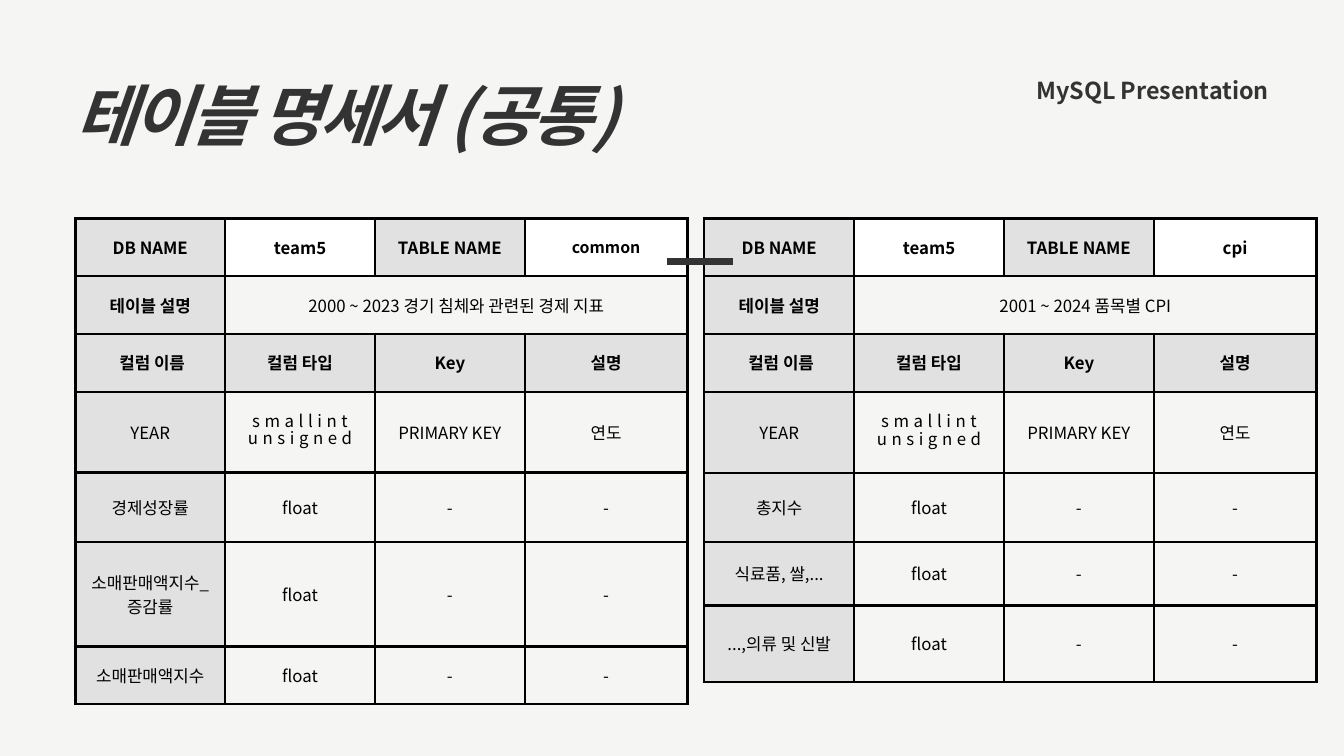
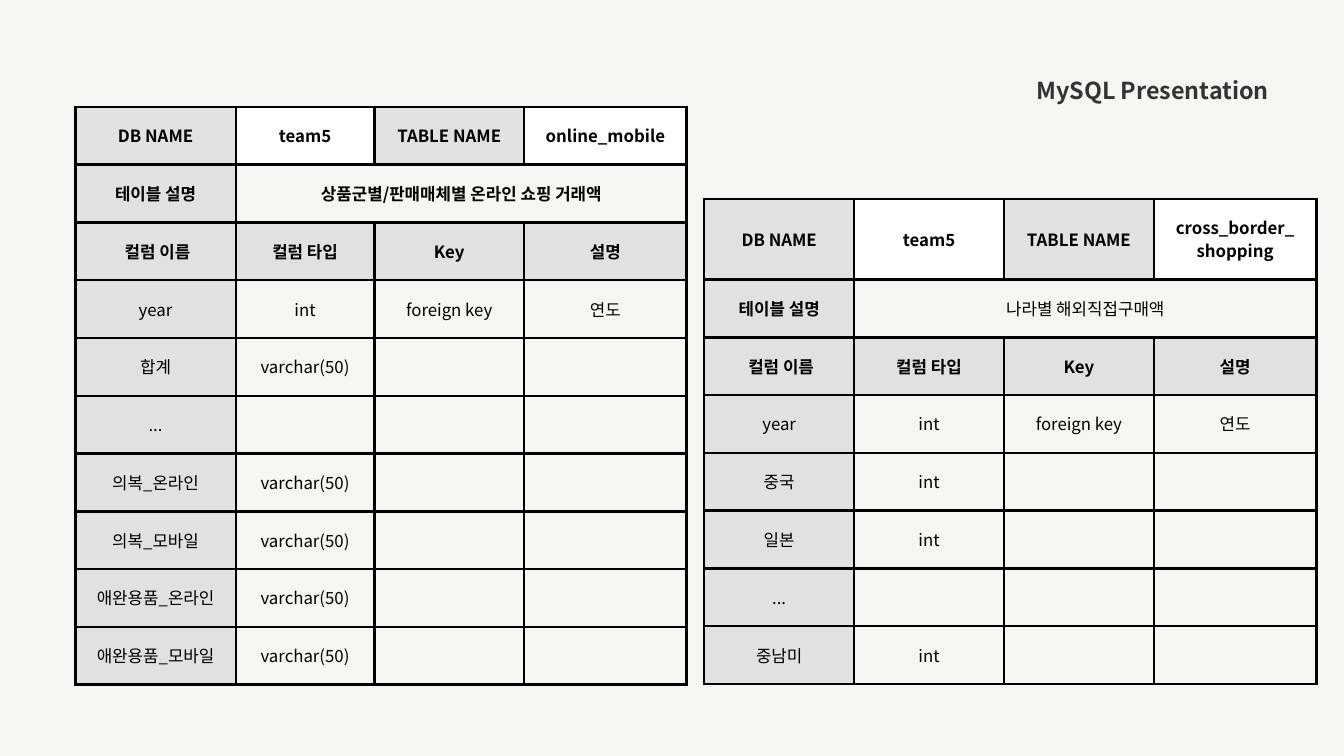
from dataclasses import dataclass

from lxml.etree import SubElement
from pptx import Presentation
from pptx.dml.color import RGBColor
from pptx.enum.shapes import MSO_CONNECTOR
from pptx.enum.text import MSO_ANCHOR, PP_ALIGN
from pptx.oxml import parse_xml
from pptx.oxml.ns import nsdecls, qn
from pptx.slide import Slide
from pptx.table import _Cell as Cell
from pptx.text.text import TextFrame
from pptx.util import Inches, Pt

COLORS = {
    "paper": "F5F5F4",
    "label": "E1E1E1",
    "value": "FFFFFF",
    "border": "000000",
    "cell_text": "000000",
    "ink": "333333",
}
FONT = "Noto Sans CJK KR"
TITLE_ONLY, BLANK = 5, 6
ROW = 0.86
LEFT, RIGHT = 1.12, 10.48
EVEN_COLUMNS = (2.23, 2.23, 2.23, 2.42)
COLUMN_HEADS = (" 컬럼 이름", "컬럼 타입", "Key", "설명")


@dataclass(frozen=True)
class TextStyle:
    size: float
    leading: float
    color: str = "cell_text"
    bold: bool = False
    italic: bool = False
    tracking: float = 0
    align: PP_ALIGN = PP_ALIGN.CENTER


TITLE = TextStyle(71, 85.2, "ink", True, True, -3.5, PP_ALIGN.LEFT)
RUNNING_HEAD = TextStyle(25, 35, "ink", True, align=PP_ALIGN.RIGHT)
BODY = TextStyle(18, 25.2)
STRONG = TextStyle(18, 25.2, bold=True)
STRONG_SMALL = TextStyle(17, 23.8, bold=True)
SPACED = TextStyle(18, 18.7, tracking=4.9)


@dataclass(frozen=True)
class TableSpec:
    left: float
    top: float
    name: str
    description: str
    fields: tuple[tuple[str, ...], ...]
    heights: tuple[float, ...]
    widths: tuple[float, ...] = EVEN_COLUMNS
    name_style: TextStyle = STRONG
    description_style: TextStyle = BODY


YEAR_KEY = ("YEAR", "smallint\nunsigned", "PRIMARY KEY", "연도")
YEAR_REF = ("year", "int", "foreign key", "연도")


def float_field(name: str) -> tuple[str, ...]:
    return name, "float", "-", "-"


def plain_field(name: str, kind: str = "") -> tuple[str, ...]:
    return name, kind, "", ""


COMMON = TableSpec(
    LEFT, 3.25, "common", "2000 ~ 2023 경기 침체와 관련된 경제 지표",
    (YEAR_KEY, *map(float_field, ("경제성장률", "소매판매액지수_\n증감률", "소매판매액지수"))),
    (ROW, ROW, ROW, 1.2, 1.04, 1.55, ROW),
    name_style=STRONG_SMALL,
)
CPI = TableSpec(
    RIGHT, 3.25, "cpi", "2001 ~ 2024 품목별 CPI",
    (YEAR_KEY, *map(float_field, ("총지수", "식료품, 쌀,...", "...,의류 및 신발"))),
    (ROW, ROW, ROW, 1.21, 1.03, 0.94, 1.14),
)
ONLINE_MOBILE = TableSpec(
    LEFT, 1.59, "online_mobile", "상품군별/판매매체별 온라인 쇼핑 거래액",
    (
        YEAR_REF,
        plain_field("합계", "varchar(50)"),
        plain_field("..."),
        *(plain_field(f"{goods}_{channel}", "varchar(50)")
          for goods in ("의복", "애완용품") for channel in ("온라인", "모바일")),
    ),
    (ROW,) * 10,
    widths=(2.39, 2.06, 2.23, 2.42),
    description_style=STRONG,
)
CROSS_BORDER = TableSpec(
    RIGHT, 2.96, "cross_border_\nshopping", "나라별 해외직접구매액",
    (
        YEAR_REF,
        plain_field("중국", "int"),
        plain_field("일본", "int"),
        plain_field("..."),
        plain_field("중남미", "int"),
    ),
    (1.2,) + (ROW,) * 7,
)


def rgb(name: str) -> RGBColor:
    return RGBColor.from_string(COLORS[name])


def write(frame: TextFrame, text: str, style: TextStyle) -> None:
    frame.text = text
    frame.word_wrap = True
    for paragraph in frame.paragraphs:
        paragraph.alignment = style.align
        paragraph.line_spacing = Pt(style.leading)
        font = paragraph.font
        font.name = FONT
        font.size = Pt(style.size)
        font.bold = style.bold
        font.italic = style.italic
        font.color.rgb = rgb(style.color)
        properties = paragraph._p.get_or_add_pPr().get_or_add_defRPr()
        SubElement(properties, qn("a:ea")).set("typeface", FONT)
        if style.tracking:
            properties.set("spc", str(round(style.tracking * 100)))


def clear_margins(frame: TextFrame) -> None:
    frame.margin_left = frame.margin_right = 0
    frame.margin_top = frame.margin_bottom = 0
    frame.vertical_anchor = MSO_ANCHOR.TOP


def add_borders(cell: Cell) -> None:
    properties = cell._tc.get_or_add_tcPr()
    for index, side in enumerate("LRTB"):
        properties.insert(index, parse_xml(
            f'<a:ln{side} {nsdecls("a")} w="{Pt(3)}"><a:solidFill>'
            f'<a:srgbClr val="{COLORS["border"]}"/></a:solidFill></a:ln{side}>'
        ))


def paint(cell: Cell, row: int, column: int) -> None:
    if column == 0 or row == 2 or (row, column) == (0, 2):
        cell.fill.solid()
        cell.fill.fore_color.rgb = rgb("label")
    elif row == 0:
        cell.fill.solid()
        cell.fill.fore_color.rgb = rgb("value")
    else:
        cell.fill.background()


def style_for(spec: TableSpec, row: int, column: int, text: str) -> TextStyle:
    if (row, column) == (0, 3):
        return spec.name_style
    if (row, column) == (1, 1):
        return spec.description_style
    if row < 3:
        return STRONG
    return SPACED if column == 1 and "\n" in text else BODY


def add_spec_table(slide: Slide, spec: TableSpec) -> None:
    rows = (
        ("DB NAME", "team5", "TABLE NAME", spec.name),
        ("테이블 설명", spec.description, "", ""),
        COLUMN_HEADS,
        *spec.fields,
    )
    table = slide.shapes.add_table(
        len(rows), len(spec.widths), Inches(spec.left), Inches(spec.top),
        Inches(sum(spec.widths)), Inches(sum(spec.heights)),
    ).table
    table.first_row = table.horz_banding = False
    for column, width in zip(table.columns, spec.widths):
        column.width = Inches(width)
    for row, height in zip(table.rows, spec.heights):
        row.height = Inches(height)
    for r, texts in enumerate(rows):
        for c, text in enumerate(texts):
            cell = table.cell(r, c)
            cell.margin_left = cell.margin_right = Inches(0.21)
            cell.margin_top = cell.margin_bottom = Inches(0.21)
            cell.vertical_anchor = MSO_ANCHOR.MIDDLE
            write(cell.text_frame, text, style_for(spec, r, c, text))
            paint(cell, r, c)
            add_borders(cell)
    table.cell(1, 1).merge(table.cell(1, 3))


def add_running_head(slide: Slide) -> None:
    head = slide.shapes.add_textbox(
        Inches(13.37), Inches(1.06), Inches(5.51), Inches(0.47))
    clear_margins(head.text_frame)
    write(head.text_frame, "MySQL Presentation", RUNNING_HEAD)


def set_title(slide: Slide, text: str) -> None:
    title = slide.shapes.title
    title.left, title.top = Inches(LEFT), Inches(1.11)
    title.width, title.height = Inches(12.24), Inches(1.19)
    clear_margins(title.text_frame)
    write(title.text_frame, text, TITLE)


def add_dash(slide: Slide) -> None:
    dash = slide.shapes.add_connector(
        MSO_CONNECTOR.STRAIGHT, Inches(10.91), Inches(3.89), Inches(9.92), Inches(3.89))
    dash.line.color.rgb = rgb("ink")
    dash.line.width = Pt(6.75)
    SubElement(dash._element.spPr, qn("a:effectLst"))


def add_slide(prs: Presentation, layout: int, specs: tuple[TableSpec, ...]) -> Slide:
    slide = prs.slides.add_slide(prs.slide_layouts[layout])
    add_running_head(slide)
    for spec in specs:
        add_spec_table(slide, spec)
    return slide


def main() -> None:
    prs = Presentation()
    prs.slide_width, prs.slide_height = Inches(20), Inches(11.25)
    background = prs.slide_master.background.fill
    background.solid()
    background.fore_color.rgb = rgb("paper")

    shared_tables = add_slide(prs, TITLE_ONLY, (COMMON, CPI))
    set_title(shared_tables, "테이블 명세서 (공통)")
    add_dash(shared_tables)
    add_slide(prs, BLANK, (ONLINE_MOBILE, CROSS_BORDER))
    prs.save("out.pptx")


if __name__ == "__main__":
    main()
